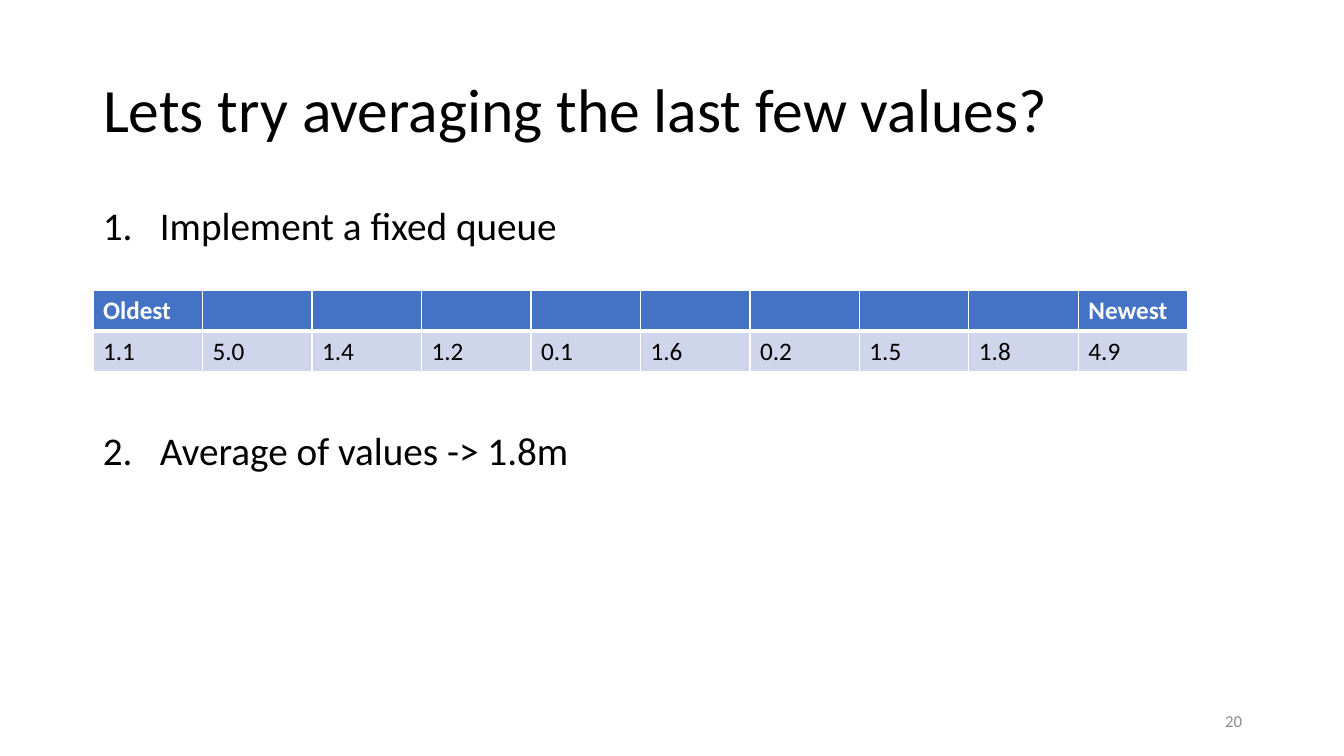
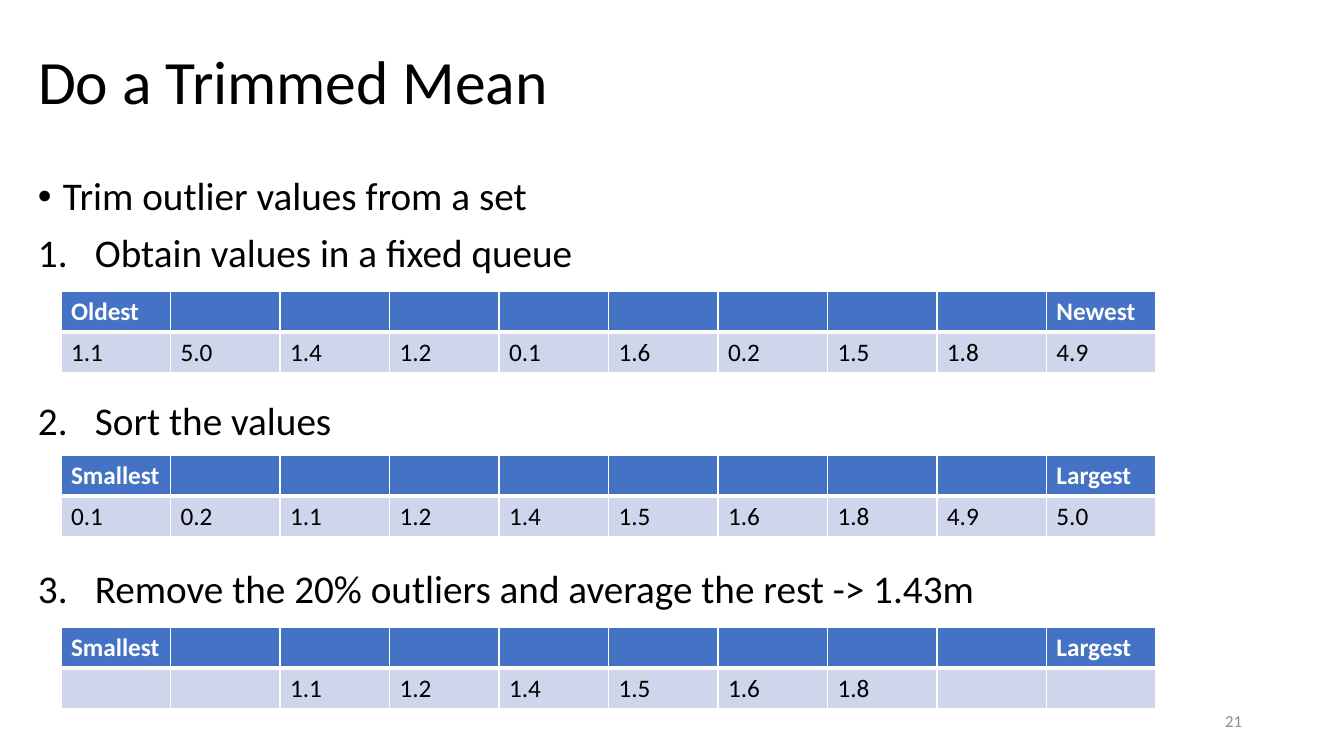
import pptx
import pptx.dml.color
import pptx.enum.text
import pptx.oxml
import pptx.oxml.ns
import pptx.util

RGB = pptx.dml.color.RGBColor
BLACK = RGB(0x00, 0x00, 0x00)
WHITE = RGB(0xFF, 0xFF, 0xFF)
GRAY = RGB(0x8C, 0x8C, 0x8C)
BLUE = RGB(0x44, 0x72, 0xC4)
PALE = RGB(0xCF, 0xD5, 0xEA)

W, H = 1344, 756
SCALE = 914400 / 100.8
TEXT_W = 1159
TABLE_W, ROW_H = 1095, 41
NUMBER_BOX = (950, 701, 302, 40)

TITLE = dict(name="Calibri", size=pptx.util.Pt(44), bold=False)
BODY = dict(name="Calibri", size=pptx.util.Pt(28))
NUMBER = dict(name="Calibri", size=pptx.util.Pt(12))
HEAD = dict(name="Calibri", size=pptx.util.Pt(18), bold=True)
CELL = dict(name="Calibri", size=pptx.util.Pt(18), bold=False)

BULLET = (25, '<a:buChar {} char="•"/>')
STEP = (57, '<a:buAutoNum {} type="arabicPeriod"/>')

QUEUE = ["1.1", "5.0", "1.4", "1.2", "0.1", "1.6", "0.2", "1.5", "1.8", "4.9"]
RANKED = sorted(QUEUE, key=float)
TRIMMED = ["", ""] + RANKED[2:-2] + ["", ""]
BY_AGE = ("Oldest", "Newest")
BY_SIZE = ("Smallest", "Largest")

SLIDES = [
    dict(
        number="20",
        title="Lets try averaging the last few values?",
        title_box=(93, 40, TEXT_W, 146),
        body_box=(93, 202, TEXT_W, 480),
        lines=[
            (STEP, 0, "Implement a fixed queue"),
            (STEP, 130, "Average of values -> 1.8m"),
        ],
        table_left=93,
        tables=[(290, BY_AGE, QUEUE)],
    ),
    dict(
        number="21",
        title="Do a Trimmed Mean",
        title_box=(28, 43, TEXT_W, 84),
        body_box=(28, 172, TEXT_W, 545),
        lines=[
            (BULLET, 0, "Trim outlier values from a set"),
            (STEP, 10, "Obtain values in a fixed queue"),
            (STEP, 90, "Sort the values"),
            (STEP, 90, "Remove the 20% outliers and average the rest -> 1.43m"),
        ],
        table_left=61,
        tables=[
            (291, BY_AGE, QUEUE),
            (455, BY_SIZE, RANKED),
            (627, BY_SIZE, TRIMMED),
        ],
    ),
]


def px(n):
    return pptx.util.Emu(round(n * SCALE))


def xml(markup):
    return pptx.oxml.parse_xml(markup.format(pptx.oxml.ns.nsdecls("a")))


def write(p, text, style, color):
    r = p.add_run()
    r.text = text
    for key, value in style.items():
        setattr(r.font, key, value)
    r.font.color.rgb = color


def add_title(s, text, box):
    sp = s.shapes.title
    sp.left, sp.top, sp.width, sp.height = map(px, box)
    tf = sp.text_frame
    tf.auto_size = pptx.enum.text.MSO_AUTO_SIZE.NONE
    tf.vertical_anchor = pptx.enum.text.MSO_ANCHOR.MIDDLE
    p = tf.paragraphs[0]
    p.alignment = pptx.enum.text.PP_ALIGN.LEFT
    p.line_spacing = 0.9
    write(p, text, TITLE, BLACK)


def add_text_box(s, box):
    tf = s.shapes.add_textbox(*map(px, box)).text_frame
    tf.word_wrap = True
    return tf


def add_body(s, lines, box):
    tf = add_text_box(s, box)
    for i, ((indent, marker), before, text) in enumerate(lines):
        p = tf.add_paragraph() if i else tf.paragraphs[0]
        pPr = p._p.get_or_add_pPr()
        pPr.set("marL", str(px(indent)))
        pPr.set("indent", str(-px(indent)))
        pPr.append(xml('<a:buFont {} typeface="Arial"/>' if marker == BULLET[1]
                       else '<a:buFont {} typeface="+mj-lt"/>'))
        pPr.append(xml(marker))
        p.line_spacing = 0.9
        if before:
            p.space_before = pptx.util.Pt(before)
        write(p, text, BODY, BLACK)


def add_number(s, text):
    tf = add_text_box(s, NUMBER_BOX)
    tf.vertical_anchor = pptx.enum.text.MSO_ANCHOR.MIDDLE
    p = tf.paragraphs[0]
    p.alignment = pptx.enum.text.PP_ALIGN.RIGHT
    write(p, text, NUMBER, GRAY)


def add_borders(cell, top, bottom):
    tcPr = cell._tc.get_or_add_tcPr()
    for side, points in (("L", 1), ("R", 1), ("T", top), ("B", bottom)):
        width = pptx.util.Pt(points)
        tcPr.append(xml(f'<a:ln{side} {{}} w="{width}"><a:solidFill>'
                        f'<a:srgbClr val="{WHITE}"/></a:solidFill></a:ln{side}>'))


def add_value_table(s, left, top, ends, values):
    n = len(values)
    header = [ends[0]] + [""] * (n - 2) + [ends[1]]
    rows = [
        (header, BLUE, HEAD, WHITE, 1, 3),
        (values, PALE, CELL, BLACK, 3, 1),
    ]
    box = (left, top, TABLE_W, ROW_H * len(rows))
    table = s.shapes.add_table(len(rows), n, *map(px, box)).table
    table.horz_banding = False
    for col in table.columns:
        col.width = px(TABLE_W / n)
    for i, (texts, fill, style, color, above, below) in enumerate(rows):
        table.rows[i].height = px(ROW_H)
        for cell, text in zip(table.rows[i].cells, texts):
            add_borders(cell, above, below)
            cell.fill.solid()
            cell.fill.fore_color.rgb = fill
            if text:
                write(cell.text_frame.paragraphs[0], text, style, color)


def main():
    prs = pptx.Presentation()
    prs.slide_width, prs.slide_height = px(W), px(H)
    for data in SLIDES:
        s = prs.slides.add_slide(prs.slide_layouts[5])
        add_title(s, data["title"], data["title_box"])
        add_body(s, data["lines"], data["body_box"])
        add_number(s, data["number"])
        for top, ends, values in data["tables"]:
            add_value_table(s, data["table_left"], top, ends, values)
    prs.save("out.pptx")


if __name__ == "__main__":
    main()
